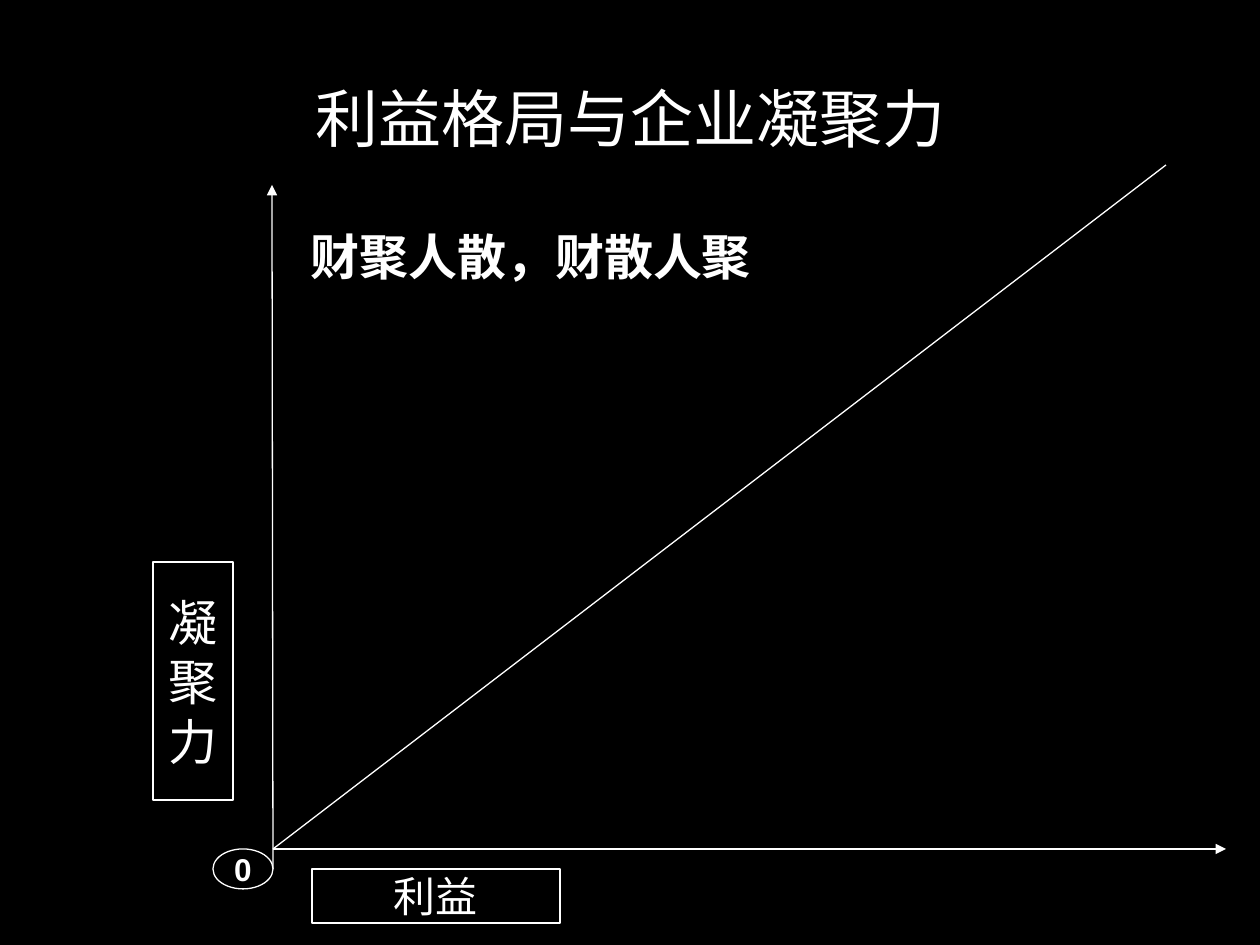
from lxml import etree
from pptx import Presentation
from pptx.dml.color import RGBColor
from pptx.enum.shapes import MSO_CONNECTOR, MSO_SHAPE
from pptx.enum.text import MSO_ANCHOR, PP_ALIGN
from pptx.oxml.ns import qn
from pptx.util import Pt

EMU_PER_PX = 914400 // 126
COLORS = {"background": "000000", "ink": "FFFFFF"}
ORIGIN = (273, 849)


def px(length):
    return length * EMU_PER_PX


def color(name):
    return RGBColor.from_string(COLORS[name])


def format_paragraph(paragraph, size, bold=False, face="Arial", align=PP_ALIGN.CENTER):
    paragraph.alignment = align
    paragraph.space_before = Pt(0)
    paragraph.font.name = face
    paragraph.font.size = Pt(size)
    paragraph.font.bold = bold
    paragraph.font.color.rgb = color("ink")


def fill_placeholder(placeholder, text, box, anchor):
    placeholder.left, placeholder.top, placeholder.width, placeholder.height = map(px, box)
    frame = placeholder.text_frame
    frame.text = text
    frame.vertical_anchor = anchor
    return frame.paragraphs[0]


def indent_without_bullet(paragraph, indent):
    properties = paragraph._p.get_or_add_pPr()
    properties.set("marL", str(px(indent)))
    properties.set("indent", "0")
    etree.SubElement(properties, qn("a:buNone"))


def add_line(slide, start, end, arrow=False):
    line = slide.shapes.add_connector(MSO_CONNECTOR.STRAIGHT, *map(px, start + end))
    line.line.color.rgb = color("ink")
    line.line.width = Pt(0.75)
    if arrow:
        etree.SubElement(line.line._get_or_add_ln(), qn("a:tailEnd"), type="triangle")
    etree.SubElement(line._element.spPr, qn("a:effectLst"))


def add_label(slide, kind, box, lines, size, bold=False, line_spacing=None):
    label = slide.shapes.add_shape(kind, *map(px, box))
    label.shadow.inherit = False
    label.fill.solid()
    label.fill.fore_color.rgb = color("background")
    label.line.color.rgb = color("ink")
    label.line.width = Pt(0.75)
    frame = label.text_frame
    frame.word_wrap = False
    frame.vertical_anchor = MSO_ANCHOR.MIDDLE
    frame.text = "\n".join(lines)
    for paragraph in frame.paragraphs:
        format_paragraph(paragraph, size, bold)
        paragraph.line_spacing = line_spacing


def main():
    deck = Presentation()
    deck.slide_width, deck.slide_height = px(1260), px(945)
    slide = deck.slides.add_slide(deck.slide_layouts[1])
    slide.background.fill.solid()
    slide.background.fill.fore_color.rgb = color("background")

    title = fill_placeholder(slide.shapes.title, "利益格局与企业凝聚力",
                             (63, 38, 1134, 158), MSO_ANCHOR.MIDDLE)
    format_paragraph(title, 36)
    motto = fill_placeholder(slide.placeholders[1], "财聚人散，财散人聚",
                             (63, 220, 1134, 624), MSO_ANCHOR.TOP)
    indent_without_bullet(motto, 235)
    format_paragraph(motto, 28, True, "Noto Sans CJK SC", PP_ALIGN.LEFT)

    add_line(slide, (273, 869), (272, 185), arrow=True)
    add_line(slide, ORIGIN, (1226, 849), arrow=True)
    add_label(slide, MSO_SHAPE.OVAL, (213, 849, 60, 40), ["0"], 18, bold=True)
    add_label(slide, MSO_SHAPE.RECTANGLE, (312, 869, 248, 54), ["利益"], 24)
    add_label(slide, MSO_SHAPE.RECTANGLE, (153, 562, 80, 238), "凝聚力", 28,
              line_spacing=Pt(34))
    add_line(slide, ORIGIN, (1166, 165))

    deck.save("out.pptx")


if __name__ == "__main__":
    main()
